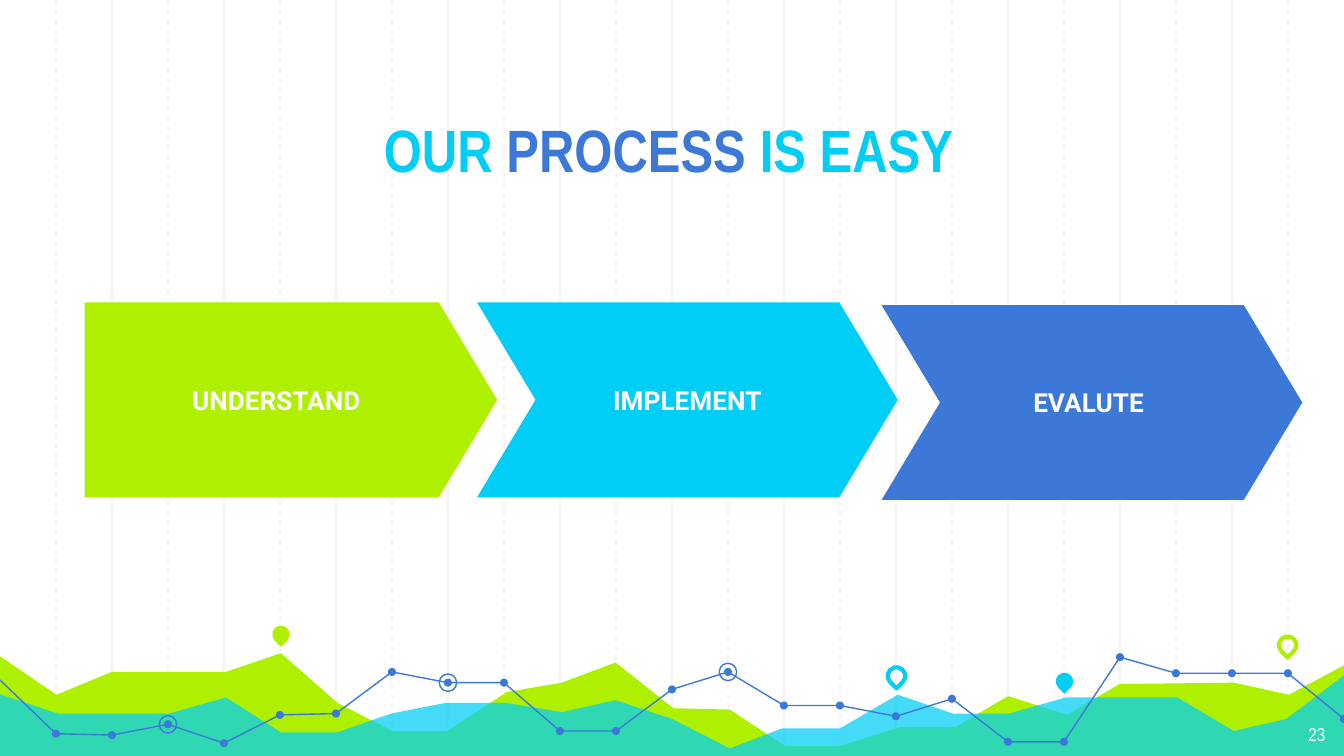
import pptx
import pptx.util
from pptx.dml.color import RGBColor
from pptx.enum.dml import MSO_LINE
from pptx.enum.shapes import MSO_CONNECTOR, MSO_SHAPE
from pptx.enum.text import MSO_ANCHOR, MSO_AUTO_SIZE, PP_ALIGN
from pptx.oxml.ns import qn
from pptx.util import Inches

LIME, CYAN, BLUE, WHITE, GRID = "AFF000", "00CEF6", "3C78D8", "FFFFFF", "F3F3F3"

TITLE = [("OUR ", CYAN), ("PROCESS", BLUE), (" IS EASY", CYAN)]
PAGE_NUMBER = "23"

# label, colour, preset, point depth, (left, top, width, height)
STEPS = [
    ("UNDERSTAND", LIME, MSO_SHAPE.PENTAGON, 0.3, (0.63, 2.25, 3.07, 1.45)),
    ("IMPLEMENT", CYAN, MSO_SHAPE.CHEVRON, 0.3, (3.55, 2.25, 3.13, 1.45)),
    ("EVALUTE ", BLUE, MSO_SHAPE.CHEVRON, 0.3, (6.56, 2.27, 3.13, 1.45)),
]

SLIDE_WIDTH = 10
SLIDE_HEIGHT = SLIDE_WIDTH * 9 / 16
COLUMNS = 24
COLUMN_GAP = SLIDE_WIDTH / COLUMNS

LIME_HILLS = [
    (-0.02, 4.87), (0.42, 5.17), (0.83, 5), (1.68, 5), (2.09, 4.86), (2.51, 5.23),
    (2.92, 5.44), (3.33, 5.44), (3.77, 5.15), (4.18, 5.08), (4.58, 4.93), (5.01, 5.27),
    (5.43, 5.28), (5.84, 5.55), (6.26, 5.55), (6.7, 5.41), (7.11, 5.41), (7.5, 5.18),
    (7.94, 5.32), (8.33, 5.09), (9.18, 5.08), (9.59, 5.17), (10.02, 4.94),
    (10.01, 5.64), (-0.03, 5.64),
]
CYAN_HILLS = [
    (-0.02, 5.16), (0.43, 5.31), (1.26, 5.31), (1.68, 5.19), (2.09, 5.45), (2.51, 5.45),
    (2.91, 5.31), (3.32, 5.23), (3.76, 5.23), (4.18, 5.3), (4.58, 5.21), (5, 5.35),
    (5.43, 5.57), (5.82, 5.42), (6.25, 5.42), (6.68, 5.17), (7.09, 5.31), (7.51, 5.31),
    (7.93, 5.19), (8.76, 5.19), (9.18, 5.44), (9.57, 5.35), (10.02, 5.01),
    (10.02, 5.65), (-0.03, 5.65),
]
# Height of the trend line at the left edge and at each grid column
TREND = [5.06, 5.46, 5.47, 5.39, 5.53, 5.32, 5.31, 5, 5.08, 5.08, 5.44, 5.44, 5.13,
         5, 5.25, 5.25, 5.33, 5.2, 5.52, 5.52, 4.89, 5.01, 5.01, 5.01, 5.35]
TREND_BREAKS = [0, 11, 20, 24]
RINGED_COLUMNS = [3, 8, 13]

# centre x, centre y, fill, line
PINS = [
    (2.09, 4.72, LIME, None),
    (6.67, 5.03, None, CYAN),
    (7.92, 5.07, CYAN, None),
    (9.58, 4.8, None, LIME),
]
DOT, MARKER = 0.06, 0.13


def rgb(color):
    return RGBColor.from_string(color)


def paint(shape, fill=None, line=None, weight=0.75):
    shape.shadow.inherit = False
    if fill:
        shape.fill.solid()
        shape.fill.fore_color.rgb = rgb(fill)
    else:
        shape.fill.background()
    if line:
        shape.line.color.rgb = rgb(line)
        shape.line.width = pptx.util.Pt(weight)
    else:
        shape.line.fill.background()


def add_centred(preset, x, y, size):
    return shapes.add_shape(preset, Inches(x - size / 2), Inches(y - size / 2),
                            Inches(size), Inches(size))


def add_outline(points, close):
    corners = [(Inches(x), Inches(y)) for x, y in points]
    builder = shapes.build_freeform(*corners[0])
    builder.add_line_segments(corners[1:], close=close)
    return builder.convert_to_shape()


def write(shape, runs, font, size, bold, align, anchor):
    frame = shape.text_frame
    frame.word_wrap = True
    frame.auto_size = MSO_AUTO_SIZE.NONE
    frame.vertical_anchor = anchor
    frame.margin_left = frame.margin_right = Inches(0.1)
    frame.margin_top = frame.margin_bottom = Inches(0.1)
    paragraph = frame.paragraphs[0]
    paragraph.alignment = align
    for text, color in runs:
        run = paragraph.add_run()
        run.text = text
        run.font.name = font
        run.font.size = pptx.util.Pt(size)
        run.font.bold = bold
        run.font.color.rgb = rgb(color)


deck = pptx.Presentation()
deck.slide_width, deck.slide_height = Inches(SLIDE_WIDTH), Inches(SLIDE_HEIGHT)
slide = deck.slides.add_slide(deck.slide_layouts[5])
shapes = slide.shapes
slide.background.fill.solid()
slide.background.fill.fore_color.rgb = rgb(WHITE)

# Grid: odd columns are dashed
for column in range(1, COLUMNS):
    x = Inches(column * COLUMN_GAP)
    grid_line = shapes.add_connector(MSO_CONNECTOR.STRAIGHT, x, 0, x, Inches(5.65))
    grid_line.line.color.rgb = rgb(GRID)
    grid_line.line.width = pptx.util.Pt(0.75)
    if column % 2:
        grid_line.line.dash_style = MSO_LINE.DASH
    grid_line._element.spPr.append(grid_line._element.makeelement(qn("a:effectLst")))

# Hills
paint(add_outline(LIME_HILLS, close=True), LIME)
cyan_hills = add_outline(CYAN_HILLS, close=True)
paint(cyan_hills, CYAN)
hill_color = cyan_hills._element.spPr.find(qn("a:solidFill"))[0]
hill_color.append(hill_color.makeelement(qn("a:alpha"), {"val": "73000"}))

# Trend line with its dots and rings
trend_points = [(column * COLUMN_GAP, y) for column, y in enumerate(TREND)]
for first, last in zip(TREND_BREAKS, TREND_BREAKS[1:]):
    paint(add_outline(trend_points[first:last + 1], close=False), line=BLUE)
for x, y in trend_points[1:]:
    paint(add_centred(MSO_SHAPE.OVAL, x, y, DOT), BLUE)
for column in RINGED_COLUMNS:
    paint(add_centred(MSO_SHAPE.OVAL, *trend_points[column], MARKER), line=BLUE)

for x, y, fill, line in PINS:
    pin = add_centred(MSO_SHAPE.TEAR, x, y, MARKER)
    pin.rotation = 135
    paint(pin, fill, line, 2.25)

# The title sits in front of the grid
title = shapes.title
shapes._spTree.append(title._element)
title.left, title.top = Inches(1.15), Inches(0.69)
title.width, title.height = Inches(7.65), Inches(0.78)
write(title, TITLE, "Arial Narrow", 32, True, PP_ALIGN.CENTER, MSO_ANCHOR.BOTTOM)

for label, color, preset, depth, box in STEPS:
    step = shapes.add_shape(preset, *map(Inches, box))
    step.adjustments[0] = depth
    paint(step, color)
    write(step, [(label, WHITE)], "Roboto", 14, True, PP_ALIGN.CENTER, MSO_ANCHOR.MIDDLE)

page_number = shapes.add_textbox(Inches(9.36), Inches(5.28), Inches(0.6), Inches(0.35))
write(page_number, [(PAGE_NUMBER, WHITE)], "Arial Narrow", 10, False,
      PP_ALIGN.RIGHT, MSO_ANCHOR.TOP)

deck.save("out.pptx")
